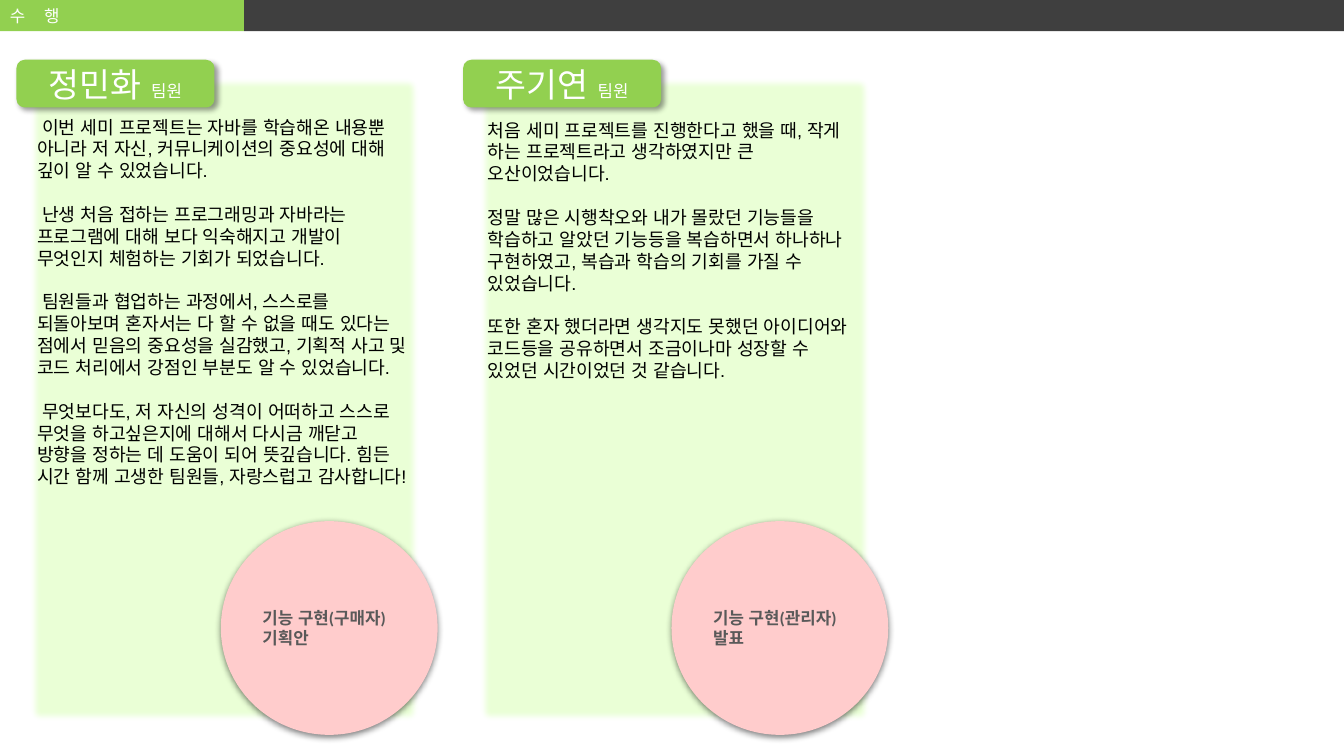
from lxml import etree
from pptx import Presentation
from pptx.dml.color import RGBColor
from pptx.enum.lang import MSO_LANGUAGE_ID
from pptx.enum.shapes import MSO_SHAPE
from pptx.enum.text import MSO_ANCHOR, PP_ALIGN
from pptx.oxml import parse_xml
from pptx.oxml.ns import nsdecls, qn
from pptx.util import Inches, Pt

RECT, ROUND, OVAL = MSO_SHAPE.RECTANGLE, MSO_SHAPE.ROUNDED_RECTANGLE, MSO_SHAPE.OVAL
TOP, MIDDLE = MSO_ANCHOR.TOP, MSO_ANCHOR.MIDDLE
LEFT, CENTER = PP_ALIGN.LEFT, PP_ALIGN.CENTER
KOREAN = MSO_LANGUAGE_ID.KOREAN

GREEN = RGBColor(0x92, 0xD0, 0x50)
LIME = RGBColor(0xCC, 0xFF, 0x99)
PINK = RGBColor(0xFF, 0xCC, 0xCC)
DARK = RGBColor(0x3F, 0x3F, 0x3F)
GRAY = RGBColor(0x59, 0x59, 0x59)
WHITE = RGBColor(0xFF, 0xFF, 0xFF)
BLACK = RGBColor(0, 0, 0)

TITLE = "수\t행"
ROLE = "팀원"
MEMBERS = [
    {"name": "정민화 ", "left": 0.27, "tag": 0.17, "inset": 0.40,
     "tasks": ["기능 구현(구매자)", "기획안"],
     "review": [
         " 이번 세미 프로젝트는 자바를 학습해온 내용뿐 아니라 저 자신, 커뮤니케이션의 "
         "중요성에 대해 깊이 알 수 있었습니다.",
         " 난생 처음 접하는 프로그래밍과 자바라는 프로그램에 대해 보다 익숙해지고 개발이 "
         "무엇인지 체험하는 기회가 되었습니다.",
         " 팀원들과 협업하는 과정에서, 스스로를 되돌아보며 혼자서는 다 할 수 없을 때도 "
         "있다는 점에서 믿음의 중요성을 실감했고, 기획적 사고 및 코드 처리에서 강점인 "
         "부분도 알 수 있었습니다.",
         " 무엇보다도, 저 자신의 성격이 어떠하고 스스로 무엇을 하고싶은지에 대해서 다시금 "
         "깨닫고 방향을 정하는 데 도움이 되어 뜻깊습니다. 힘든 시간 함께 고생한 팀원들, "
         "자랑스럽고 감사합니다!"]},
    {"name": "주기연 ", "left": 4.74, "tag": 4.6, "inset": 0.43,
     "tasks": ["기능 구현(관리자)", "발표"],
     "review": [
         "처음 세미 프로젝트를 진행한다고 했을 때, 작게 하는 프로젝트라고 생각하였지만 큰 "
         "오산이었습니다.",
         "정말 많은 시행착오와 내가 몰랐던 기능들을 학습하고 알았던 기능등을 복습하면서 "
         "하나하나 구현하였고, 복습과 학습의 기회를 가질 수 있었습니다.",
         "또한 혼자 했더라면 생각지도 못했던 아이디어와 코드등을 공유하면서 조금이나마 "
         "성장할 수 있었던 시간이었던 것 같습니다."]},
]


def add_box(kind, x, y, w, h, fill):
    box = slide.shapes.add_shape(kind, Inches(x), Inches(y), Inches(w), Inches(h))
    box.shadow.inherit = False
    box.fill.solid()
    box.fill.fore_color.rgb = fill
    box.line.fill.background()
    return box


def write(box, lines, size, color, font="Arial", bold=False, align=LEFT,
          anchor=MIDDLE, insets=(0.1, 0.05, 0.1, 0.05), gap=0, tab=None):
    """Fill a shape with lines, each a list of (text, size) runs or a string."""
    frame = box.text_frame
    frame.word_wrap = True
    frame.vertical_anchor = anchor
    (frame.margin_left, frame.margin_top,
     frame.margin_right, frame.margin_bottom) = map(Inches, insets)
    for i, line in enumerate(lines):
        para = frame.add_paragraph() if i else frame.paragraphs[0]
        para.alignment = align
        if i and gap:
            para.space_before = Pt(gap)
        if tab:
            stops = etree.SubElement(para._p.get_or_add_pPr(), qn("a:tabLst"))
            etree.SubElement(stops, qn("a:tab"), pos=str(Inches(tab)), algn="l")
        for text, points in [(line, size)] if isinstance(line, str) else line:
            run = para.add_run()
            run.text = text
            run.font.name, run.font.size, run.font.bold = font, Pt(points), bold
            run.font.color.rgb = color
            run.font.language_id = KOREAN


def add_effect(box, xml):
    effects = box._element.spPr.find(qn("a:effectLst"))
    effects.append(parse_xml(xml.replace(" ", f" {nsdecls('a')} ", 1)))


def add_shadow(box, alpha, blur, dist, angle):
    add_effect(box, f'<a:outerShdw blurRad="{Pt(blur)}" dist="{Pt(dist)}" '
                    f'dir="{angle * 60000}" algn="t" rotWithShape="0">'
                    f'<a:srgbClr val="000000"><a:alpha val="{alpha * 1000}"/>'
                    '</a:srgbClr></a:outerShdw>')


def add_panel(member):
    panel = add_box(RECT, member["left"], 0.75, 3.91, 6.44, LIME)
    color = panel._element.spPr.find(qn("a:solidFill"))[0]
    etree.SubElement(color, qn("a:alpha"), val="40000")
    add_effect(panel, f'<a:softEdge rad="{Pt(5)}"/>')
    write(panel, member["review"], 13, BLACK, anchor=TOP, gap=15.6,
          insets=(0.1, member["inset"], 0.1, 0.05))


def add_tag(member):
    tag = add_box(ROUND, member["tag"], 0.6, 1.95, 0.46, GREEN)
    tag.line.color.rgb = GREEN
    tag.line.width = Pt(1)
    add_shadow(tag, 40, 4, 3, 45)
    write(tag, [[(member["name"], 24), (ROLE, 12)]], 24, WHITE, align=CENTER)


def add_circle(member):
    circle = add_box(OVAL, member["left"] + 1.92, 5.17, 2.15, 2.12, PINK)
    add_shadow(circle, 50, 4.5, 1.5, 90)
    write(circle, member["tasks"], 12, GRAY, font="Calibri", bold=True,
          insets=(0.1, 0.1, 0.1, 0.1))


deck = Presentation()
deck.slide_width, deck.slide_height = Inches(13.33), Inches(7.5)
slide = deck.slides.add_slide(deck.slide_layouts[6])

add_box(RECT, 2.42, 0, 10.91, 0.31, DARK)
header = add_box(RECT, 0, 0, 2.42, 0.31, GREEN)
write(header, [TITLE], 12, WHITE, insets=(0.1, 0.06, 0.06, 0.06), tab=0.34)
for add_part in (add_panel, add_tag, add_circle):
    for member in MEMBERS:
        add_part(member)

deck.save("out.pptx")
